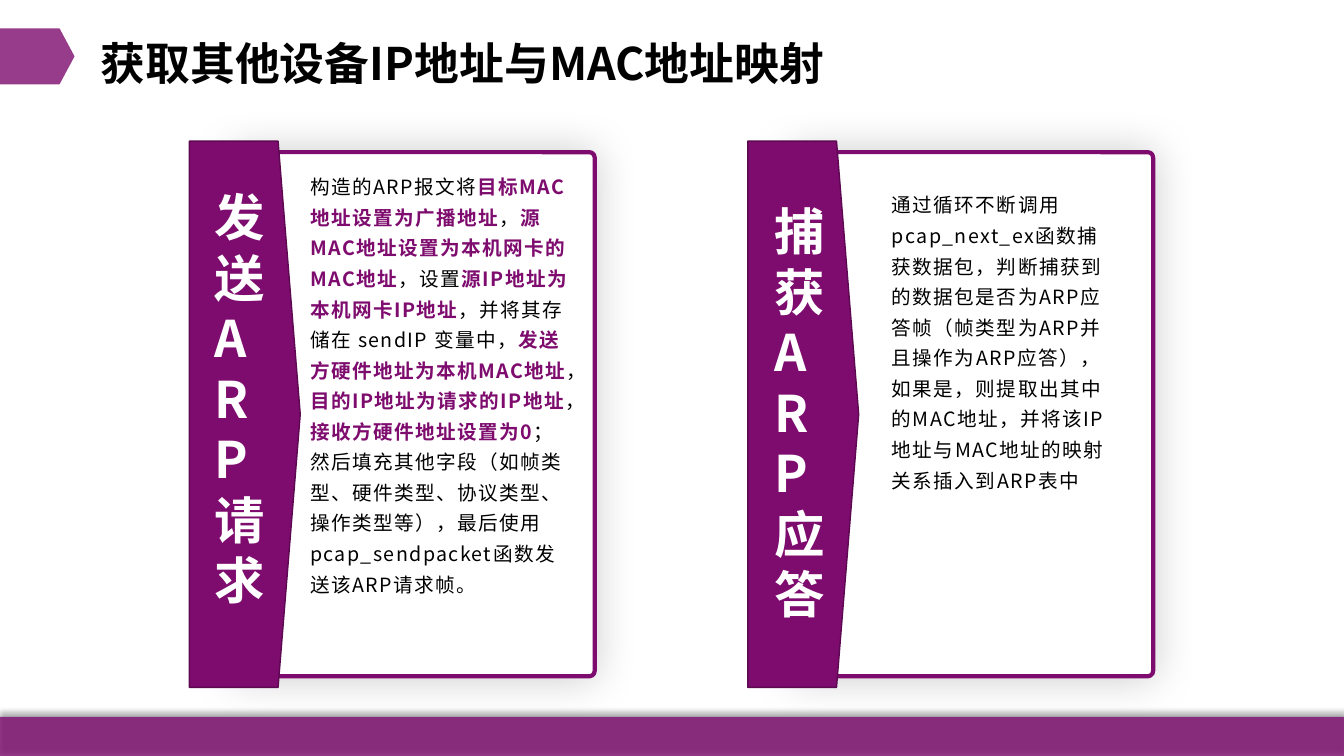
from dataclasses import dataclass

from lxml import etree
from pptx import Presentation
from pptx.dml.color import RGBColor
from pptx.enum.shapes import MSO_SHAPE
from pptx.enum.text import MSO_AUTO_SIZE
from pptx.oxml.ns import qn
from pptx.util import Pt

RECT = MSO_SHAPE.RECTANGLE
ROUND_RECT = MSO_SHAPE.ROUNDED_RECTANGLE
PENTAGON = MSO_SHAPE.FLOWCHART_OFFPAGE_CONNECTOR
GROW = MSO_AUTO_SIZE.SHAPE_TO_FIT_TEXT


@dataclass(frozen=True)
class Theme:
    """Colours, font and type sizes of the slide."""
    purple: str = "7E0C6E"
    edge: str = "5D0951"
    black: str = "000000"
    white: str = "FFFFFF"
    font: str = "Noto Sans CJK SC"
    title: int = 32
    label: int = 36
    body: int = 14


T = Theme()
TITLE = {"size": Pt(T.title), "bold": True}
LABEL = {"size": Pt(T.label), "bold": True}
BODY = {"size": Pt(T.body), "bold": False}
STRONG = {"size": Pt(T.body), "bold": True}

SEND_TEXT = [
    "构造的ARP报文将", "目标MAC地址设置为广播地址",
    "，", "源MAC地址设置为本机网卡的MAC地址",
    "，设置", "源IP地址为本机网卡IP地址",
    "，并将其存储在 sendIP 变量中，", "发送方硬件地址为本机MAC地址",
    "，", "目的IP地址为请求的IP地址",
    "，", "接收方硬件地址设置为0",
    "；然后填充其他字段（如帧类型、硬件类型、协议类型、操作类型等），"
    "最后使用pcap_sendpacket函数发送该ARP请求帧。",
]
CAPTURE_TEXT = [
    "通过循环不断调用pcap_next_ex函数捕获数据包，判断捕获到的数据包是否为ARP应答帧"
    "（帧类型为ARP并且操作为ARP应答），如果是，则提取出其中的MAC地址，"
    "并将该IP地址与MAC地址的映射关系插入到ARP表中",
]


def add_shadow(sp, alpha, blur, dist, angle):
    """Give a shape a soft black outer shadow."""
    effects = sp._element.spPr.find(qn("a:effectLst"))
    shadow = etree.SubElement(
        effects, qn("a:outerShdw"), blurRad=str(Pt(blur)), dist=str(Pt(dist)),
        dir=str(angle * 60000), algn="ctr", rotWithShape="0")
    color = etree.SubElement(shadow, qn("a:srgbClr"), val=T.black)
    etree.SubElement(color, qn("a:alpha"), val=str(alpha * 1000))


def add_block(shapes, kind, box, fill, line=None, alpha=None, rotation=0):
    """Add a filled preset shape, optionally outlined, translucent or turned."""
    sp = shapes.add_shape(kind, *map(Pt, box))
    sp.shadow.inherit = False
    sp.rotation = rotation
    sp.fill.solid()
    sp.fill.fore_color.rgb = RGBColor.from_string(fill)
    if alpha:
        color = sp._element.spPr.find(qn("a:solidFill"))[0]
        etree.SubElement(color, qn("a:alpha"), val=str(alpha * 1000))
    if line:
        color, width = line
        sp.line.color.rgb = RGBColor.from_string(color)
        sp.line.width = Pt(width)
    else:
        sp.line.fill.background()
    return sp


def add_text(s, box, runs, line_spacing=None, tracking=0):
    """Add a wrapped text box holding one paragraph of (text, format, colour) runs."""
    tf = s.shapes.add_textbox(*map(Pt, box)).text_frame
    tf.word_wrap = True
    tf.auto_size = GROW
    p = tf.paragraphs[0]
    if line_spacing:
        p.line_spacing = line_spacing
    for text, values, color in runs:
        r = p.add_run()
        r.text = text
        for name, value in values.items():
            setattr(r.font, name, value)
        r.font.name = T.font
        r.font.color.rgb = RGBColor.from_string(color)
        rPr = r._r.get_or_add_rPr()
        etree.SubElement(rPr, qn("a:ea"), typeface=T.font)
        if tracking:
            rPr.set("spc", str(tracking * 100))


def add_card(s, left):
    """Add a grouped card: a rounded panel with a pointed purple band."""
    shapes = s.shapes.add_group_shape().shapes
    panel = add_block(shapes, ROUND_RECT, (left + 31, 108.7, 258.5, 374.4),
                      T.white, (T.purple, 3))
    panel.adjustments[0] = 0.015
    add_shadow(panel, 20, 30, 0, 0)
    add_block(shapes, PENTAGON, (left - 155.5, 256.3, 390.2, 79.2),
              T.purple, (T.edge, 1), rotation=270)


def add_body(s, box, texts):
    """Add body text whose segments alternate between plain and strong."""
    styles = [(BODY, T.black), (STRONG, T.purple)]
    runs = [(text, *styles[i % 2]) for i, text in enumerate(texts)]
    add_text(s, box, runs, line_spacing=1.3, tracking=1)


def main():
    """Build the slide and save it."""
    prs = Presentation()
    prs.slide_width, prs.slide_height = Pt(960), Pt(540)
    s = prs.slides.add_slide(prs.slide_layouts[6])

    add_block(s.shapes, PENTAGON, (6.5, 13.5, 40, 53.5), T.purple,
              alpha=80, rotation=270)
    footer = add_block(s.shapes, RECT, (0, 512, 960, 28), T.purple, alpha=80)
    add_shadow(footer, 40, 4, 3, 270)
    add_text(s, (64.8, 10.8, 576, 57.6),
             [("获取其他设备IP地址与MAC地址映射", TITLE, T.black)], 1.3)

    for left in (135.3, 534.2):
        add_card(s, left)
    for label, left, top in (("发送ARP请求", 146.2, 129.6),
                             ("捕获ARP应答", 546.5, 139.7)):
        add_text(s, (left, top, 41, 312.5), [(label, LABEL, T.white)])
    add_body(s, (214.5, 116.6, 202.3, 315.4), SEND_TEXT)
    add_body(s, (630, 129.6, 175, 227.5), CAPTURE_TEXT)

    prs.save("out.pptx")


if __name__ == "__main__":
    main()
